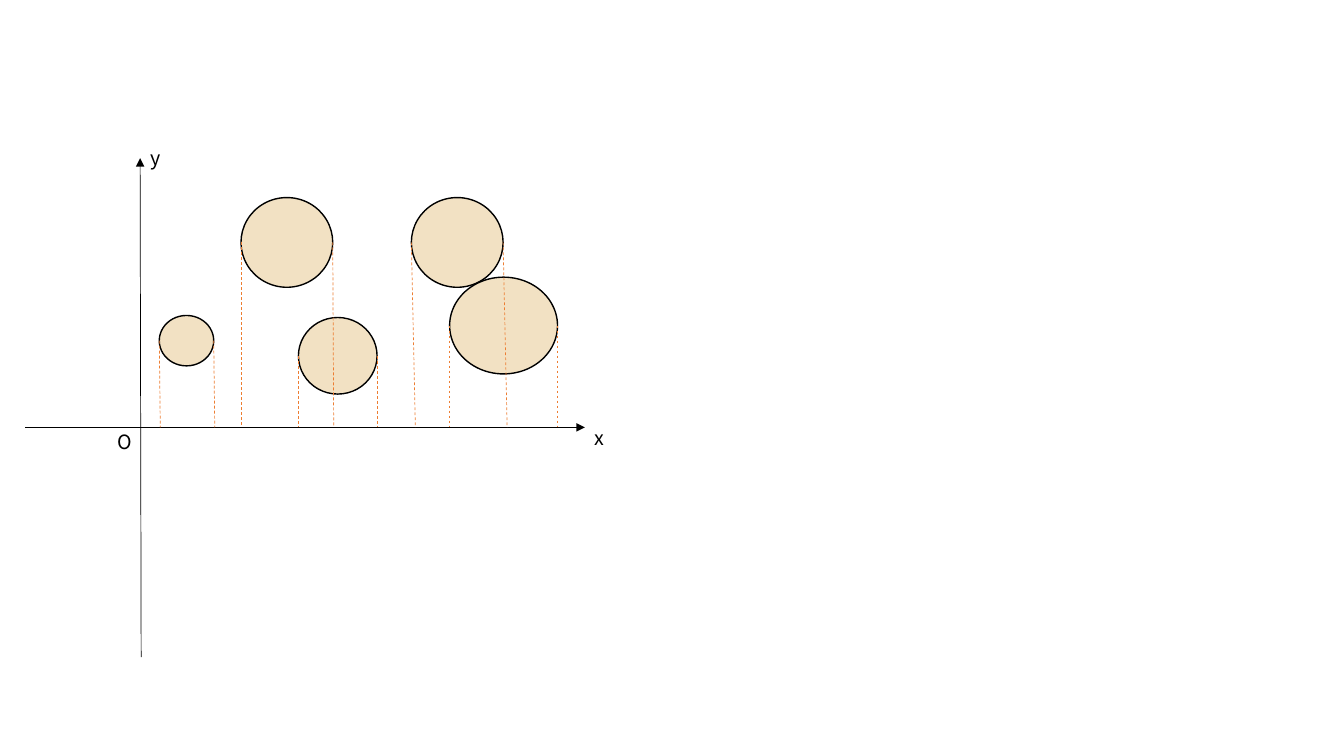
"""Draw circles in a coordinate system with their extents projected on the x axis."""
from dataclasses import dataclass

from pptx import Presentation
from pptx.dml.color import RGBColor
from pptx.enum.dml import MSO_LINE
from pptx.enum.shapes import MSO_CONNECTOR, MSO_SHAPE
from pptx.enum.text import MSO_AUTO_SIZE
from pptx.oxml.ns import qn
from pptx.slide import Slide
from pptx.util import Inches, Pt
from lxml.etree import SubElement


@dataclass(frozen=True)
class Theme:
    font: str = "Noto Sans CJK SC"
    label_size: float = 14
    ink: str = "000000"
    circle_fill: str = "F2E1C3"
    projection: str = "ED7D31"
    outline_width: float = 1
    line_width: float = 0.5


@dataclass(frozen=True)
class Circle:
    left: float
    top: float
    width: float
    height: float
    left_lean: float = 0
    right_lean: float = 0


@dataclass(frozen=True)
class Label:
    text: str
    left: float
    top: float
    width: float = 0.29


THEME = Theme()
X_AXIS_TOP = 4.24
CIRCLES = (
    Circle(2.39, 1.96, 0.91, 0.89, right_lean=0.01),
    Circle(4.08, 1.96, 0.91, 0.89, left_lean=0.04, right_lean=0.04),
    Circle(2.96, 3.15, 0.78, 0.76),
    Circle(4.46, 2.75, 1.07, 0.96),
    Circle(1.58, 3.13, 0.54, 0.5, left_lean=0.01, right_lean=0.01),
)
AXES = (
    ((1.4, 6.52), (1.39, 1.57)),
    ((0.25, X_AXIS_TOP), (5.8, X_AXIS_TOP)),
)
LABELS = (
    Label("y", 1.39, 1.4),
    Label("x", 5.8, 4.18),
    Label("O", 1.07, 4.22, width=0.35),
)


def add_circle(page: Slide, circle: Circle) -> None:
    shape = page.shapes.add_shape(
        MSO_SHAPE.OVAL,
        Inches(circle.left), Inches(circle.top),
        Inches(circle.width), Inches(circle.height),
    )
    shape.shadow.inherit = False
    shape.fill.solid()
    shape.fill.fore_color.rgb = RGBColor.from_string(THEME.circle_fill)
    shape.line.color.rgb = RGBColor.from_string(THEME.ink)
    shape.line.width = Pt(THEME.outline_width)


def add_line(
    page: Slide,
    start: tuple[float, float],
    end: tuple[float, float],
    *,
    color: str,
    dashed: bool = False,
    arrow: bool = False,
) -> None:
    connector = page.shapes.add_connector(
        MSO_CONNECTOR.STRAIGHT, *map(Inches, start + end)
    )
    connector.line.color.rgb = RGBColor.from_string(color)
    connector.line.width = Pt(THEME.line_width)
    if dashed:
        connector.line.dash_style = MSO_LINE.DASH
    if arrow:
        SubElement(connector.line._get_or_add_ln(), qn("a:tailEnd"), type="triangle")
    SubElement(connector._element.spPr, qn("a:effectLst"))


def add_projections(page: Slide, circle: Circle) -> None:
    middle = circle.top + circle.height / 2
    sides = (
        (circle.left, circle.left_lean),
        (circle.left + circle.width, circle.right_lean),
    )
    for side, lean in sides:
        add_line(page, (side, middle), (side + lean, X_AXIS_TOP),
                 color=THEME.projection, dashed=True)


def add_text(
    page: Slide, label: Label, *, size: float, color: str, height: float = 0.34
) -> None:
    box = page.shapes.add_textbox(
        Inches(label.left), Inches(label.top), Inches(label.width), Inches(height)
    )
    frame = box.text_frame
    frame.word_wrap = False
    frame.auto_size = MSO_AUTO_SIZE.SHAPE_TO_FIT_TEXT
    span = frame.paragraphs[0].add_run()
    span.text = label.text
    span.font.name = THEME.font
    span.font.size = Pt(size)
    span.font.color.rgb = RGBColor.from_string(color)


def main() -> None:
    deck = Presentation()
    deck.slide_width, deck.slide_height = Inches(13.33), Inches(7.5)
    page = deck.slides.add_slide(deck.slide_layouts[6])
    for circle in CIRCLES:
        add_circle(page, circle)
    for start, end in AXES:
        add_line(page, start, end, color=THEME.ink, arrow=True)
    for circle in CIRCLES:
        add_projections(page, circle)
    for label in LABELS:
        add_text(page, label, size=THEME.label_size, color=THEME.ink)
    deck.save("out.pptx")


if __name__ == "__main__":
    main()
